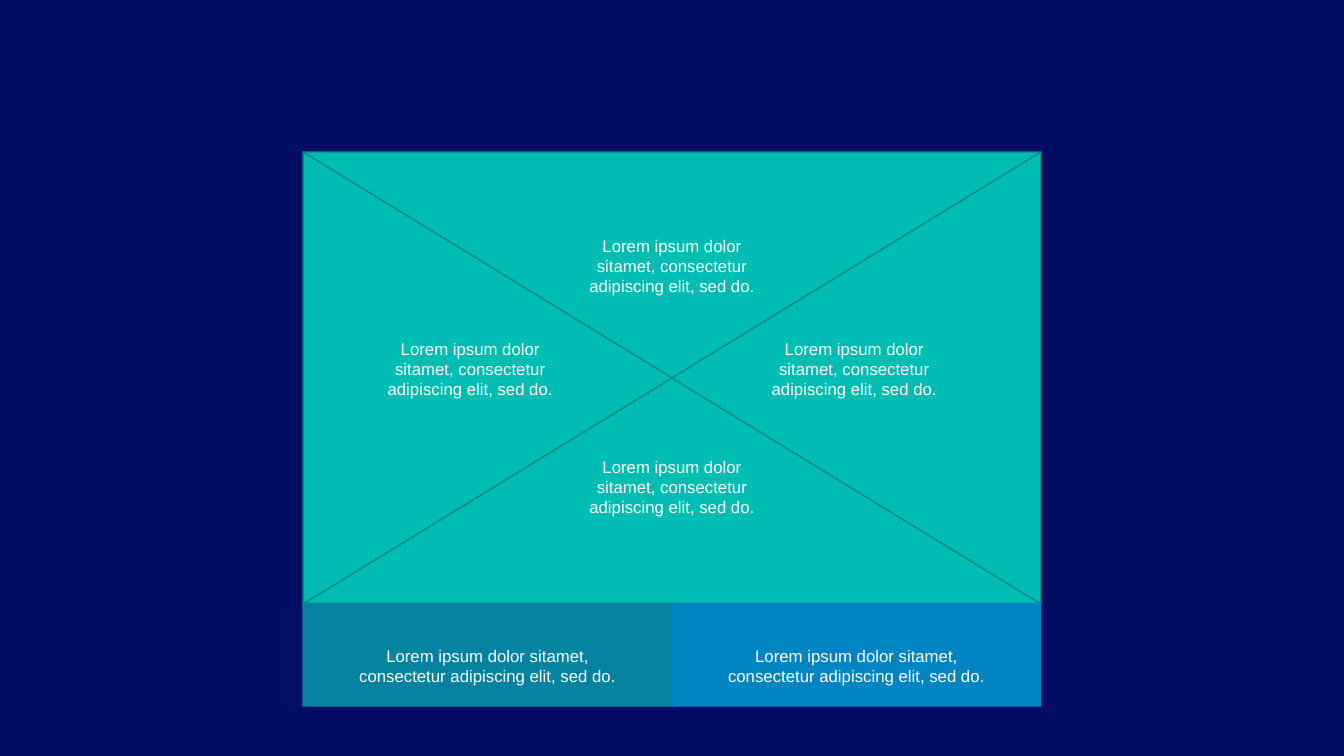
"""Build an envelope of four text flaps standing on two coloured bands."""

from typing import NamedTuple

from pptx import Presentation
from pptx.dml.color import RGBColor
from pptx.enum.shapes import MSO_SHAPE as Preset
from pptx.enum.text import MSO_AUTO_SIZE as AutoSize, PP_ALIGN as Align
from pptx.shapes.autoshape import Shape
from pptx.slide import Slide
from pptx.util import Emu, Inches, Pt

COLOURS = {
    "background": "000D63",
    "flap": "00BDB3",
    "fold": "008C84",
    "left band": "0483A0",
    "right band": "0084C2",
    "text": "FFFFFF",
}
COLUMNS, ROWS = 160, 90
CELL = Inches(7.5) / ROWS
CENTRE_X, CENTRE_Y = COLUMNS / 2, ROWS / 2
HALF_WIDTH, HALF_HEIGHT = 43.92, 26.9
SIDE_X = HALF_WIDTH / 2
SENTENCE = "Lorem ipsum dolor sitamet, consectetur adipiscing elit, sed do."


class Box(NamedTuple):
    """A box in grid cells, given by its centre and size."""

    x: float
    y: float
    width: float
    height: float

    def bounds(self) -> tuple[Emu, Emu, Emu, Emu]:
        """Return left, top, width and height in slide units."""
        left, top = self.x - self.width / 2, self.y - self.height / 2
        cells = (left, top, self.width, self.height)
        left, top, width, height = (Emu(round(cell * CELL)) for cell in cells)
        return left, top, width, height


class Flap(NamedTuple):
    """A triangle pointing to the envelope's centre."""

    box: Box
    rotation: int


class Band(NamedTuple):
    """A coloured base rectangle."""

    box: Box
    colour: str


UPRIGHT = (2 * HALF_WIDTH, HALF_HEIGHT)
SIDEWAYS = (2 * HALF_HEIGHT, HALF_WIDTH)
FLAPS = [
    Flap(Box(CENTRE_X, CENTRE_Y + HALF_HEIGHT / 2, *UPRIGHT), 0),
    Flap(Box(CENTRE_X, CENTRE_Y - HALF_HEIGHT / 2, *UPRIGHT), 180),
    Flap(Box(CENTRE_X + SIDE_X, CENTRE_Y, *SIDEWAYS), 270),
    Flap(Box(CENTRE_X - SIDE_X, CENTRE_Y, *SIDEWAYS), 90),
]
BANDS = [
    Band(Box(58.2, 77.94, 44.4, 12.36), "left band"),
    Band(Box(CENTRE_X + SIDE_X, 77.94, HALF_WIDTH, 12.36), "right band"),
]
FLAP_TEXT = (22.2, 7.8)
BAND_TEXT = (33, 6)
FLAP_CAPTIONS = [
    Box(CENTRE_X, 31.38, *FLAP_TEXT),
    Box(CENTRE_X, 57.66, *FLAP_TEXT),
    Box(101.7, 43.62, *FLAP_TEXT),
    Box(55.98, 43.62, *FLAP_TEXT),
]
BAND_CAPTIONS = [
    Box(CENTRE_X + side * SIDE_X, 79.32, *BAND_TEXT) for side in (-1, 1)
]


def colour(name: str) -> RGBColor:
    """Look up a colour by its role."""
    return RGBColor.from_string(COLOURS[name])


def add_filled(slide: Slide, preset: Preset, box: Box, fill: str) -> Shape:
    """Add a flat preset shape with a solid fill."""
    shape = slide.shapes.add_shape(preset, *box.bounds())
    shape.shadow.inherit = False
    shape.fill.solid()
    shape.fill.fore_color.rgb = colour(fill)
    return shape


def add_flap(slide: Slide, flap: Flap) -> None:
    """Add one outlined triangle."""
    shape = add_filled(slide, Preset.ISOSCELES_TRIANGLE, flap.box, "flap")
    shape.rotation = flap.rotation
    shape.line.color.rgb = colour("fold")
    shape.line.width = Pt(1)


def add_band(slide: Slide, band: Band) -> None:
    """Add one base rectangle without an outline."""
    shape = add_filled(slide, Preset.RECTANGLE, band.box, band.colour)
    shape.line.fill.background()


def add_caption(slide: Slide, box: Box) -> None:
    """Add one centred sentence."""
    frame = slide.shapes.add_textbox(*box.bounds()).text_frame
    frame.word_wrap = True
    frame.auto_size = AutoSize.SHAPE_TO_FIT_TEXT
    paragraph = frame.paragraphs[0]
    paragraph.alignment = Align.CENTER
    run = paragraph.add_run()
    run.text = SENTENCE
    run.font.name = "Arial"
    run.font.size = Pt(12)
    run.font.color.rgb = colour("text")


def main() -> None:
    """Draw the slide and save it."""
    presentation = Presentation()
    presentation.slide_width = Emu(round(COLUMNS * CELL))
    presentation.slide_height = Emu(round(ROWS * CELL))
    slide = presentation.slides.add_slide(presentation.slide_layouts[6])
    slide.background.fill.solid()
    slide.background.fill.fore_color.rgb = colour("background")
    for flap in FLAPS:
        add_flap(slide, flap)
    for box in FLAP_CAPTIONS:
        add_caption(slide, box)
    for band in BANDS:
        add_band(slide, band)
    for box in BAND_CAPTIONS:
        add_caption(slide, box)
    presentation.save("out.pptx")


if __name__ == "__main__":
    main()
